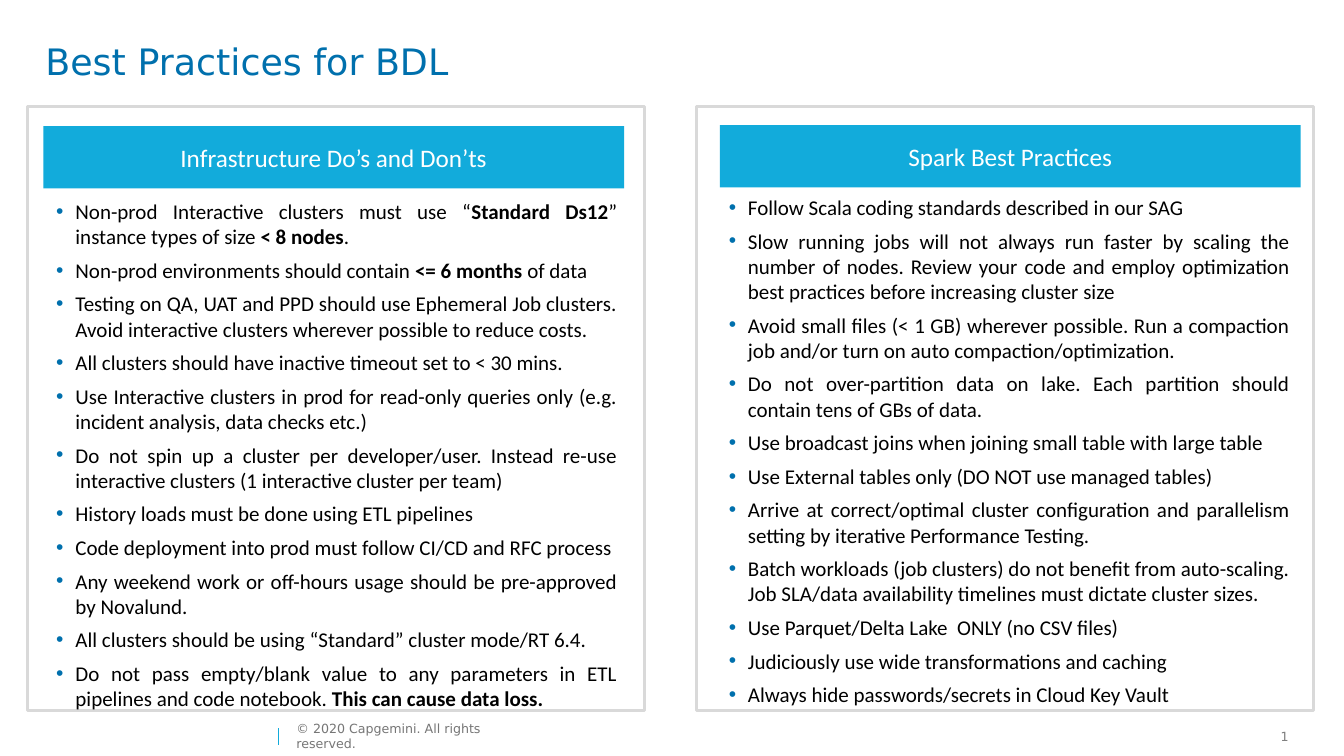
import pptx
import pptx.util
import pptx.dml.color
import pptx.enum.shapes
import pptx.enum.text
import pptx.oxml
import pptx.oxml.ns
from dataclasses import dataclass

Inches = pptx.util.Inches
Pt = pptx.util.Pt
ALIGN = pptx.enum.text.PP_ALIGN
ANCHOR = pptx.enum.text.MSO_ANCHOR
AUTO_SIZE = pptx.enum.text.MSO_AUTO_SIZE


@dataclass(frozen=True)
class Theme:
    blue: str = "0070AD"
    cyan: str = "12ABDB"
    frame: str = "D9D9D9"
    white: str = "FFFFFF"
    black: str = "000000"
    number_grey: str = "808080"
    footer_grey: str = "767676"
    heading_font: str = "DejaVu Sans"
    body_font: str = "Calibri"
    title_size: int = 26
    header_size: int = 18
    body_size: int = 15
    footer_size: int = 9


INFRASTRUCTURE = [
    "Non-prod Interactive clusters must use “**Standard Ds12**” instance types of size **< 8 nodes**.",
    "Non-prod environments should contain **<= 6 months **of data",
    "Testing on QA, UAT and PPD should use Ephemeral Job clusters. "
    "Avoid interactive clusters wherever possible to reduce costs.",
    "All clusters should have inactive timeout set to < 30 mins.",
    "Use Interactive clusters in prod for read-only queries only (e.g. incident analysis, data checks etc.)",
    "Do not spin up a cluster per developer/user. "
    "Instead re-use interactive clusters (1 interactive cluster per team)",
    "History loads must be done using ETL pipelines",
    "Code deployment into prod must follow CI/CD and RFC process",
    "Any weekend work or off-hours usage should be pre-approved by Novalund.",
    "All clusters should be using “Standard” cluster mode/RT 6.4.",
    "Do not pass empty/blank value to any parameters in ETL pipelines and code notebook. "
    "**This can cause data loss.**",
]
SPARK = [
    "Follow Scala coding standards described in our SAG",
    "Slow running jobs will not always run faster by scaling the number of nodes. "
    "Review your code and employ optimization best practices before increasing cluster size",
    "Avoid small files (< 1 GB) wherever possible. "
    "Run a compaction job and/or turn on auto compaction/optimization.",
    "Do not over-partition data on lake. Each partition should contain tens of GBs of data.",
    "Use broadcast joins when joining small table with large table",
    "Use External tables only (DO NOT use managed tables)",
    "Arrive at correct/optimal cluster configuration and parallelism setting by iterative Performance Testing.",
    "Batch workloads (job clusters) do not benefit from auto-scaling. "
    "Job SLA/data availability timelines must dictate cluster sizes.",
    "Use Parquet/Delta Lake  ONLY (no CSV files)",
    "Judiciously use wide transformations and caching",
    "Always hide passwords/secrets in Cloud Key Vault",
]


def rgb(value):
    return pptx.dml.color.RGBColor.from_string(value)


class SlideBuilder:
    def __init__(self, slide, theme):
        self.slide = slide
        self.theme = theme

    def run(self, p, text, size, color, font, bold=False):
        r = p.add_run()
        r.text = text
        r.font.size = Pt(size)
        r.font.name = font
        r.font.bold = bold
        r.font.color.rgb = rgb(color)

    def text_box(self, box, margins=(0, 0), wrap=True, anchor=ANCHOR.TOP):
        """Add an empty text box; margins are (horizontal, vertical) in inches."""
        tf = self.slide.shapes.add_textbox(*map(Inches, box)).text_frame
        tf.margin_left = tf.margin_right = Inches(margins[0])
        tf.margin_top = tf.margin_bottom = Inches(margins[1])
        tf.word_wrap = wrap
        tf.vertical_anchor = anchor
        return tf

    def label(self, box, text, size, color, align=ALIGN.LEFT, spacing=None, **frame):
        p = self.text_box(box, **frame).paragraphs[0]
        p.alignment = align
        p.line_spacing = spacing
        self.run(p, text, size, color, self.theme.heading_font)

    def rectangle(self, box, fill=None, line=None):
        sp = self.slide.shapes.add_shape(pptx.enum.shapes.MSO_SHAPE.RECTANGLE, *map(Inches, box))
        sp.shadow.inherit = False
        if fill:
            sp.fill.solid()
            sp.fill.fore_color.rgb = rgb(fill)
        else:
            sp.fill.background()
        if line:
            sp.line.color.rgb = rgb(line)
            sp.line.width = Pt(2.25)
        else:
            sp.line.fill.background()
        return sp

    def header(self, box, text):
        tf = self.rectangle(box, fill=self.theme.cyan).text_frame
        tf.vertical_anchor = ANCHOR.MIDDLE
        p = tf.paragraphs[0]
        p.alignment = ALIGN.CENTER
        self.run(p, text, self.theme.header_size, self.theme.white, self.theme.body_font)

    def bullet(self, p):
        indent = Inches(0.19)
        pPr = p._p.get_or_add_pPr()
        pPr.set("marL", str(indent))
        pPr.set("indent", str(-indent))
        ns = pptx.oxml.ns.nsdecls("a")
        for xml in (
            f'<a:buClr {ns}><a:srgbClr val="{self.theme.blue}"/></a:buClr>',
            f'<a:buFont {ns} typeface="Arial"/>',
            f'<a:buChar {ns} char="•"/>',
            f'<a:tabLst {ns}><a:tab pos="{Inches(0.2)}" algn="l"/></a:tabLst>',
        ):
            pPr.append(pptx.oxml.parse_xml(xml))

    def bullets(self, box, items):
        """Add a justified bullet list; text between double asterisks is bold."""
        tf = self.text_box(box, margins=(0.1, 0.05))
        tf.auto_size = AUTO_SIZE.SHAPE_TO_FIT_TEXT
        for i, item in enumerate(items):
            p = tf.add_paragraph() if i else tf.paragraphs[0]
            self.bullet(p)
            p.alignment = ALIGN.JUSTIFY
            p.space_before = Pt(6 if i else 0)
            for j, part in enumerate(item.split("**")):
                if part:
                    self.run(p, part, self.theme.body_size, self.theme.black,
                             self.theme.body_font, bold=j % 2 == 1)

    def line(self, start, end, color):
        cn = self.slide.shapes.add_connector(
            pptx.enum.shapes.MSO_CONNECTOR.STRAIGHT, *map(Inches, start + end))
        cn.line.color.rgb = rgb(color)
        cn.line.width = Pt(1)
        cn._element.spPr.append(
            pptx.oxml.parse_xml(f'<a:effectLst {pptx.oxml.ns.nsdecls("a")}/>'))


def main():
    prs = pptx.Presentation()
    prs.slide_width = Inches(13.33)
    prs.slide_height = Inches(7.5)
    theme = Theme()
    s = SlideBuilder(prs.slides.add_slide(prs.slide_layouts[6]), theme)

    s.label((12.44, 7.17, 0.45, 0.27), "1", theme.footer_size, theme.number_grey,
            align=ALIGN.RIGHT, margins=(0.11, 0.06), wrap=False)
    s.line((2.76, 7.39), (2.76, 7.22), theme.cyan)
    s.label((2.94, 7.18, 2.43, 0.24), "© 2020 Capgemini. All rights reserved.",
            theme.footer_size, theme.footer_grey, wrap=False, anchor=ANCHOR.MIDDLE)
    s.label((0.45, 0.44, 12.05, 0.94), "Best Practices for BDL",
            theme.title_size, theme.blue, spacing=0.9)

    columns = [
        (0.27, (0.43, 1.25), (0.46, 1.92), "Infrastructure Do’s and Don’ts", INFRASTRUCTURE),
        (6.91, (7.14, 1.24), (7.13, 1.88), "Spark Best Practices", SPARK),
    ]
    for frame_left, header_at, list_at, heading, items in columns:
        s.rectangle((frame_left, 1.06, 6.12, 5.99), line=theme.frame)
        s.header((*header_at, 5.76, 0.62), heading)
        s.bullets((*list_at, 5.76, 5.23), items)

    prs.save("out.pptx")


if __name__ == "__main__":
    main()
